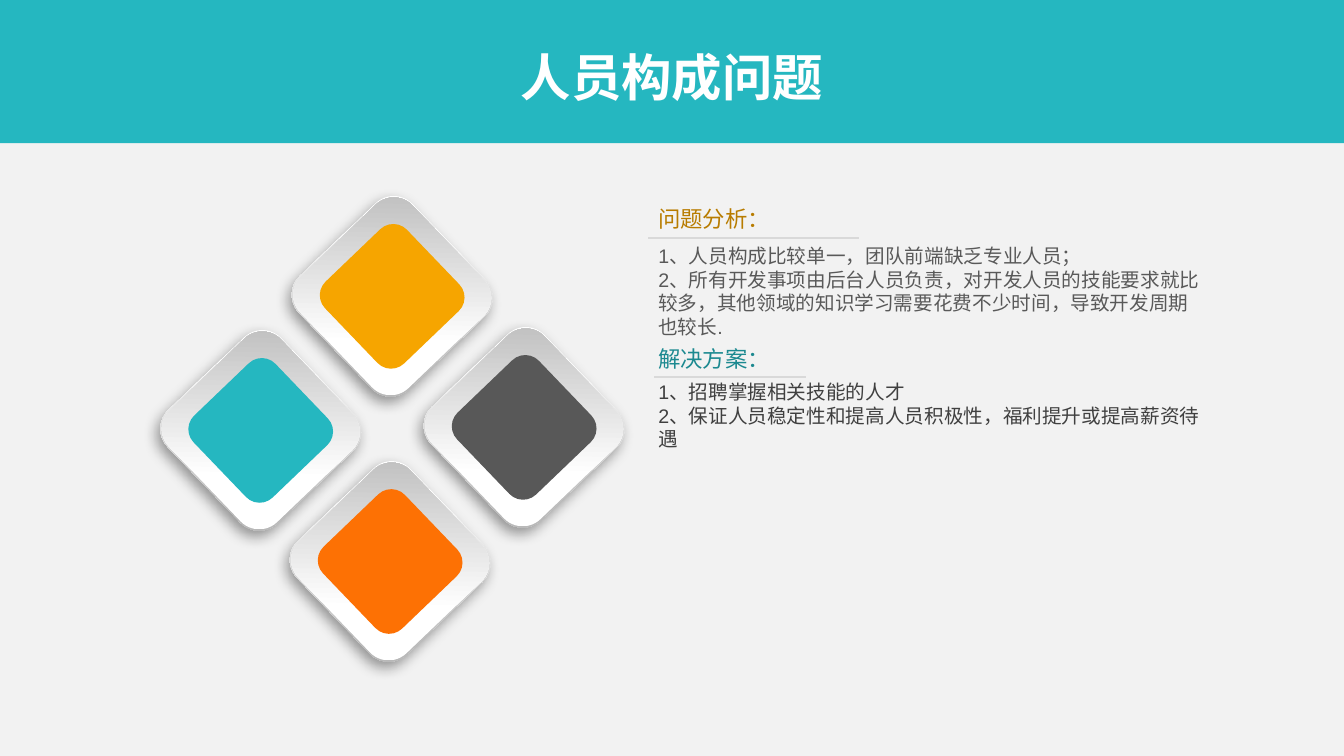
import lxml.etree
import pptx
import pptx.dml.color
import pptx.enum.shapes
import pptx.enum.text
import pptx.oxml.ns
import pptx.util

COLORS = {
    "background": "F2F2F2", "teal": "25B7C0", "amber": "F6A500", "orange": "FD7104",
    "slate": "585858", "white": "FFFFFF", "rule": "D9D9D9", "rim": "B8B8B8",
    "plate": "BFBFBF", "shadow": "000000", "problem": "B87C00", "solution": "1C8990",
    "problem_text": "595959", "solution_text": "404040",
}
SHAPES = pptx.enum.shapes.MSO_SHAPE
TILT = 46.2


def rgb(name):
    return pptx.dml.color.RGBColor.from_string(COLORS[name])


def add_element(parent, tag, **attributes):
    values = {key: str(value) for key, value in attributes.items()}
    return lxml.etree.SubElement(parent, pptx.oxml.ns.qn(tag), values)


def write_text(frame, lines, size=14, color="white", font="Arial", bold=False, centered=False):
    for index, line in enumerate(lines):
        paragraph = frame.paragraphs[0] if index == 0 else frame.add_paragraph()
        if centered:
            paragraph.alignment = pptx.enum.text.PP_ALIGN.CENTER
        run = paragraph.add_run()
        run.text = line
        run.font.size = pptx.util.Pt(size)
        run.font.name = font
        run.font.bold = bold
        run.font.color.rgb = rgb(color)


class SlideBuilder:
    """Draws styled elements on a grid of 100 columns by 100 rows."""

    def __init__(self, presentation):
        self.column = presentation.slide_width / 100
        self.row = presentation.slide_height / 100
        self.slide = presentation.slides.add_slide(presentation.slide_layouts[6])
        self.slide.background.fill.solid()
        self.slide.background.fill.fore_color.rgb = rgb("background")

    def x(self, columns):
        return round(columns * self.column)

    def y(self, rows):
        return round(rows * self.row)

    def shape(self, kind, left, top, width, height, color=None):
        shape = self.slide.shapes.add_shape(kind, left, top, width, height)
        shape.shadow.inherit = False
        shape.line.fill.background()
        if color:
            shape.fill.solid()
            shape.fill.fore_color.rgb = rgb(color)
        return shape

    def banner(self, height, color):
        self.shape(SHAPES.RECTANGLE, 0, 0, self.x(100), self.y(height), color)

    def text(self, left, top, width, height, lines, wrap=True, **style):
        box = self.slide.shapes.add_textbox(
            self.x(left), self.y(top), self.x(width), self.y(height))
        box.text_frame.word_wrap = wrap
        box.text_frame.auto_size = pptx.enum.text.MSO_AUTO_SIZE.SHAPE_TO_FIT_TEXT
        write_text(box.text_frame, lines, **style)

    def rule(self, left, right, top):
        line = self.slide.shapes.add_connector(
            pptx.enum.shapes.MSO_CONNECTOR.STRAIGHT,
            self.x(left), self.y(top), self.x(right), self.y(top))
        line.line.color.rgb = rgb("rule")
        line.line.width = pptx.util.Pt(1)
        add_element(line._element.spPr, "a:effectLst")

    def square(self, center_x, center_y, side, rotation, color=None):
        length = self.y(side)
        shape = self.shape(SHAPES.ROUNDED_RECTANGLE, self.x(center_x) - length // 2,
                           self.y(center_y) - length // 2, length, length, color)
        shape.rotation = rotation
        return shape

    def shade(self, shape, start, end, color):
        shape.fill.gradient()
        shape.fill.gradient_angle = 315
        stops = shape.fill.gradient_stops
        for stop, position, name in zip(stops, (start, end), ("white", color)):
            stop.position = position
            stop.color.rgb = rgb(name)

    def cast_shadow(self, shape):
        effects = shape._element.spPr.find(pptx.oxml.ns.qn("a:effectLst"))
        shadow = add_element(effects, "a:outerShdw", blurRad=pptx.util.Pt(10),
                             dist=pptx.util.Pt(5), dir=123 * 60000, algn="ctr", rotWithShape=0)
        tone = add_element(shadow, "a:srgbClr", val=COLORS["shadow"])
        add_element(tone, "a:alpha", val=39000)

    def tile(self, center_x, center_y, color):
        rim = self.square(center_x, center_y, 20.8, TILT)
        self.shade(rim, 0.17, 0.88, "rim")
        self.cast_shadow(rim)
        plate = self.square(center_x, center_y, 20.5, TILT + 180)
        self.shade(plate, 0.29, 0.98, "plate")
        self.square(center_x, center_y, 15, TILT + 270, color)

    def section(self, top, heading, color, rule, body_top, body_height, lines, body_color):
        left = 48.24
        self.text(left, top, 15.68, 4.93, [heading], size=16, color=color, font="Montserrat")
        self.rule(*rule)
        self.text(left, body_top, 41.79, body_height, lines, color=body_color)


def main():
    presentation = pptx.Presentation()
    presentation.slide_width = pptx.util.Inches(13.33)
    presentation.slide_height = pptx.util.Inches(7.5)
    builder = SlideBuilder(presentation)
    builder.banner(18.93, "teal")
    builder.text(37.88, 5.47, 24.23, 9.47, ["人员构成问题"], wrap=False,
                 size=36, font="Montserrat", bold=True, centered=True)
    builder.section(
        26.53, "问题分析：", "problem", (48.24, 63.92, 31.47), 31.6, 20.13,
        ["1、人员构成比较单一，团队前端缺乏专业人员；",
         "2、所有开发事项由后台人员负责，对开发人员的技能要求就比较多，"
         "其他领域的知识学习需要花费不少时间，导致开发周期也较长."], "problem_text")
    builder.section(
        44.93, "解决方案：", "solution", (48.69, 59.94, 49.87), 49.6, 10.8,
        ["1、招聘掌握相关技能的人才",
         "2、保证人员稳定性和提高人员积极性，福利提升或提高薪资待遇"], "solution_text")
    for center_x, center_y, color in (
            (29.18, 39.2, "amber"), (29.03, 74.27, "orange"),
            (19.4, 56.93, "teal"), (39, 56.53, "slate")):
        builder.tile(center_x, center_y, color)
    presentation.save("out.pptx")


if __name__ == "__main__":
    main()
